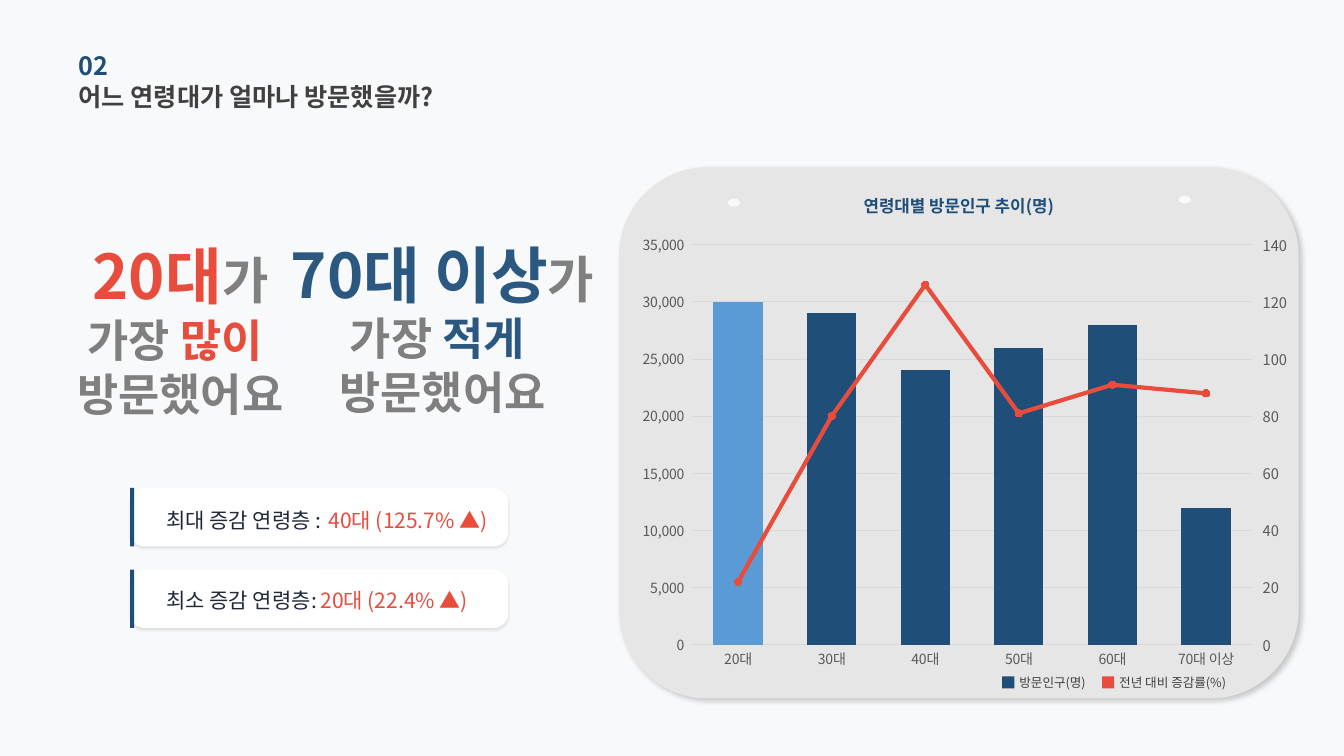
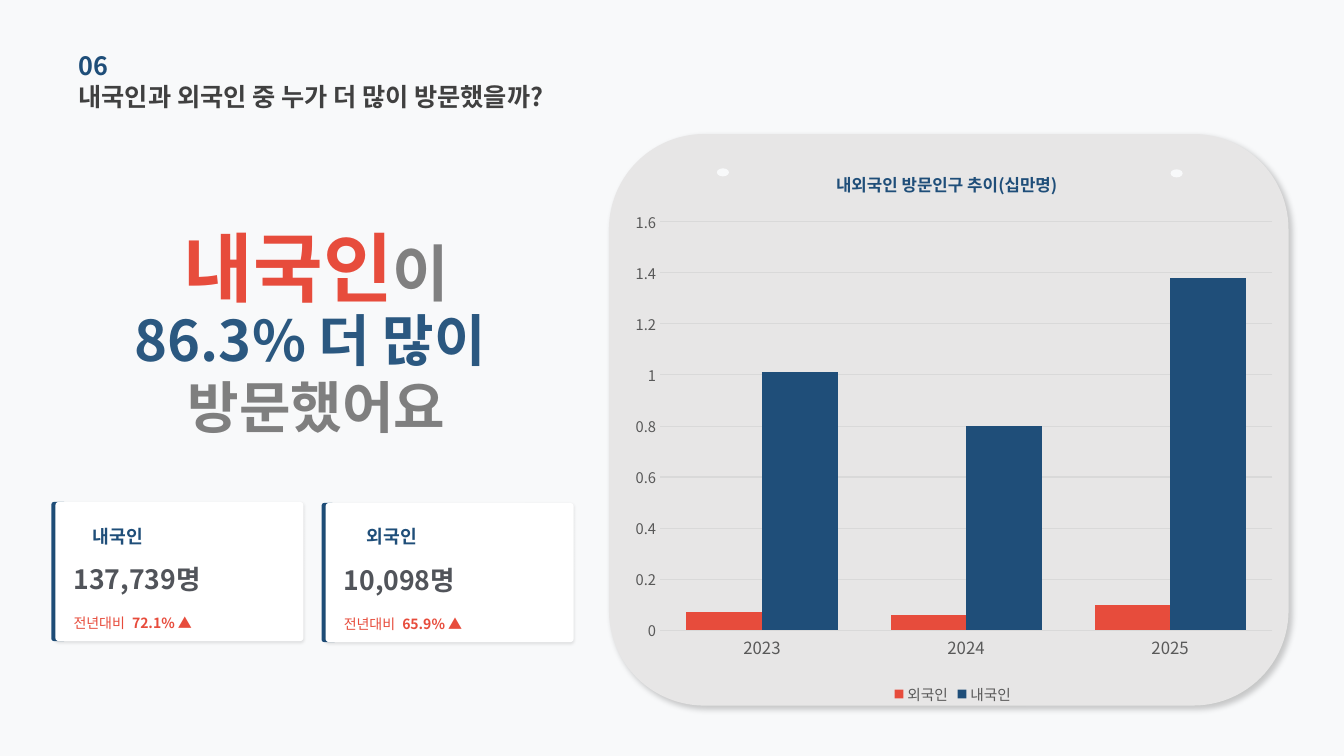
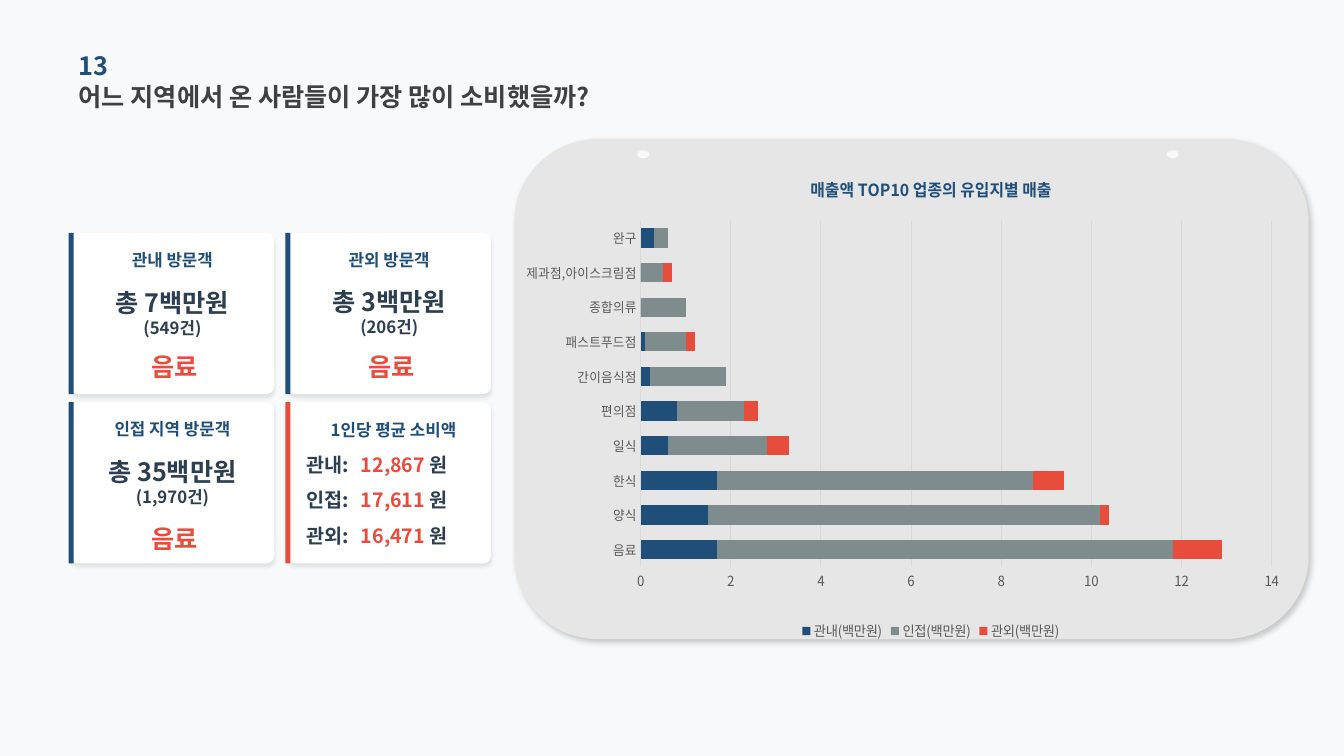
"""Builds three slides on visitor numbers and spending, each with a chart panel."""
from copy import deepcopy
from dataclasses import dataclass

from lxml import etree
from pptx import Presentation
from pptx.chart.data import CategoryChartData
from pptx.dml.color import RGBColor
from pptx.enum.chart import XL_CHART_TYPE, XL_LEGEND_POSITION, XL_MARKER_STYLE, XL_TICK_MARK
from pptx.enum.shapes import MSO_SHAPE
from pptx.enum.text import MSO_ANCHOR, PP_ALIGN
from pptx.oxml import parse_xml
from pptx.oxml.ns import nsdecls, qn
from pptx.util import Inches, Pt

RECTANGLE, ROUNDED, OVAL = MSO_SHAPE.RECTANGLE, MSO_SHAPE.ROUNDED_RECTANGLE, MSO_SHAPE.OVAL
LEFT, CENTER, MIDDLE = PP_ALIGN.LEFT, PP_ALIGN.CENTER, MSO_ANCHOR.MIDDLE
COLUMNS, STACKED_BARS = XL_CHART_TYPE.COLUMN_CLUSTERED, XL_CHART_TYPE.BAR_STACKED
NO_TICK, BOTTOM, CIRCLE = XL_TICK_MARK.NONE, XL_LEGEND_POSITION.BOTTOM, XL_MARKER_STYLE.CIRCLE


@dataclass(frozen=True)
class Theme:
    font: str = "Noto Sans CJK KR"
    page: str = "F8F9FA"
    panel: str = "E7E6E6"
    card: str = "FFFFFF"
    navy: str = "1F4E79"
    blue: str = "2B5880"
    sky: str = "5B9BD5"
    red: str = "E74C3C"
    teal: str = "7F8C8D"
    gray: str = "7F7F7F"
    particle: str = "808080"
    title: str = "404040"
    ink: str = "1F2937"
    slate: str = "2C3E50"
    figure: str = "51545A"
    axis: str = "595959"
    grid: str = "D9D9D9"
    title_size: float = 18
    chart_title_size: float = 12
    label_size: float = 10


THEME = Theme()
PANEL_SHADOW = (20, 4, 3, 45)
CARD_SHADOW = (10, 2, 1, 90)
TALL_CARD_SHADOW = (10, 3, 2, 90)

AGE = {
    "number": "02",
    "title": "어느 연령대가 얼마나 방문했을까?",
    "panel": (6.14, 1.66, 6.74, 5.27),
    "pins": [(7.22, 1.97), (11.69, 1.94)],
    "chart": {
        "kind": COLUMNS, "at": (6.26, 2.25, 6.63, 4.46), "plot": (0.09, 0.04, 0.84, 0.89),
        "categories": ["20대", "30대", "40대", "50대", "60대", "70대 이상"],
        "series": [
            ("방문인구(명)", [30000, 29000, 24000, 26000, 28000, 12000], THEME.navy),
            ("전년 대비 증감률(%)", [22, 80, 126, 81, 91, 88], THEME.red),
        ],
        "scale": (35000, 5000), "format": "#,##0_ ", "gap": 90, "overlap": -27,
    },
    "chart_title": "연령대별 방문인구 추이(명)",
}
AGE_HEADLINES = [
    (1.79, 2.49, 3.22, [("20대", THEME.red), ("가", THEME.particle)],
     [("가장 ", THEME.gray), ("많이 ", THEME.red)]),
    (4.39, 2.48, 3.2, [("70대 이상", THEME.blue), ("가", THEME.particle)],
     [("가장", THEME.gray), (" 적게 ", THEME.blue)]),
]
AGE_NOTES = [("최대 증감 연령층 :", "40대 (125.7% ▲)", 3.26, 5.04),
             ("최소 증감 연령층:", "20대 (22.4% ▲)", 3.18, 5.83)]
AGE_LEGEND = [(9.94, 0.8), (10.93, 1.18)]

ORIGIN = {
    "number": "06",
    "title": "내국인과 외국인 중 누가 더 많이 방문했을까?",
    "panel": (6.04, 1.33, 6.74, 5.67),
    "pins": [(7.11, 1.67), (11.61, 1.68)],
    "chart": {
        "kind": COLUMNS, "at": (6.15, 1.48, 6.6, 5.55), "plot": (0.06, 0.13, 0.92, 0.73),
        "title": ("내외국인 방문인구 추이(십만명)", 0.32, 0.03),
        "categories": ["2023", "2024", "2025"],
        "series": [("외국인", [0.07, 0.06, 0.1], THEME.red),
                   ("내국인", [1.01, 0.8, 1.38], THEME.navy)],
        "scale": (1.6, 0.2), "gap": 70, "overlap": 0,
        "category_size": 12, "value_size": 10.5, "legend_size": 10.5,
    },
}
ORIGIN_CARDS = [("내국인", "137,739명", "72.1% ▲", 0.92),
                ("외국인", "10,098명", "65.9% ▲", 3.64)]

SPENDING = {
    "number": "13",
    "title": "어느 지역에서 온 사람들이 가장 많이 소비했을까?",
    "panel": (5.1, 1.38, 7.88, 4.96),
    "pins": [(6.32, 1.49), (11.57, 1.49)],
    "chart": {
        "kind": STACKED_BARS, "at": (5.22, 1.56, 7.61, 4.84),
        "plot": (0.1, 0.13, 0.87, 0.71),
        "title": ("매출액 TOP10 업종의 유입지별 매출", 0.33, 0.03),
        "categories": ["음료", "양식", "한식", "일식", "편의점", "간이음식점", "패스트푸드점",
                       "종합의류", "제과점,아이스크림점", "완구"],
        "series": [
            ("관내(백만원)", [1.7, 1.5, 1.7, 0.6, 0.8, 0.2, 0.1, 0, 0, 0.3], THEME.navy),
            ("인접(백만원)", [10.1, 8.7, 7, 2.2, 1.5, 1.7, 0.9, 1, 0.5, 0.3], THEME.teal),
            ("관외(백만원)", [1.1, 0.2, 0.7, 0.5, 0.3, 0, 0.2, 0, 0.2, 0], THEME.red),
        ],
        "scale": (14, 2), "gap": 80, "overlap": 100,
        "category_size": 9.5, "legend_size": 10,
    },
}
SPENDING_CARDS = [("관내 방문객", "총 7백만원", "(549건)", "음료", 2.87, 3.4),
                  ("관외 방문객", "총 3백만원", "(206건)", "음료", 2.86, 3.4),
                  ("인접 지역 방문객", "총 35백만원", "(1,970건)", "음료", 4.54, 5.11)]
AVERAGE_TITLE = "1인당 평균 소비액"
AVERAGES = [("관내:", "12,867 "), ("인접:", "17,611 "), ("관외:", "16,471 ")]


def rgb(color):
    return RGBColor.from_string(color)


def style_font(font, size, color, bold=False):
    font.size, font.bold, font.name = Pt(size), bold, THEME.font
    font.color.rgb = rgb(color)
    latin = font._element.find(qn("a:latin"))
    latin.addnext(parse_xml(f'<a:ea {nsdecls("a")} typeface="{THEME.font}"/>'))


def add_text(slide, at, content, size=12, color=THEME.ink, bold=False, align=LEFT):
    """Content is a string or a list of paragraphs, each a list of (text, color, size)."""
    frame = slide.shapes.add_textbox(*map(Inches, at)).text_frame
    frame.word_wrap, frame.vertical_anchor = True, MIDDLE
    frame.margin_left = frame.margin_right = frame.margin_top = frame.margin_bottom = 0
    paragraphs = [[(content, color, size)]] if isinstance(content, str) else content
    for index, runs in enumerate(paragraphs):
        paragraph = frame.add_paragraph() if index else frame.paragraphs[0]
        paragraph.alignment = align
        for text, run_color, run_size in runs:
            run = paragraph.add_run()
            run.text = text
            style_font(run.font, run_size, run_color, bold)


def add_box(slide, kind, at, color, corner=None, shadow=None):
    shape = slide.shapes.add_shape(kind, *map(Inches, at))
    shape.fill.solid()
    shape.fill.fore_color.rgb = rgb(color)
    shape.line.fill.background()
    shape.shadow.inherit = False
    if corner is not None:
        shape.adjustments[0] = corner
    if shadow:
        alpha, blur, distance, angle = shadow
        effects = shape._element.spPr.find(qn("a:effectLst"))
        effects.append(parse_xml(
            f'<a:outerShdw {nsdecls("a")} blurRad="{Pt(blur)}" dist="{Pt(distance)}" '
            f'dir="{angle * 60000}" algn="ctr" rotWithShape="0"><a:srgbClr val="000000">'
            f'<a:alpha val="{alpha * 1000}"/></a:srgbClr></a:outerShdw>'))


def layout_xml(x, y, width=None, height=None):
    target = '<c:layoutTarget val="inner"/>' if width else ""
    size = f'<c:w val="{width}"/><c:h val="{height}"/>' if width else ""
    return parse_xml(
        f'<c:layout {nsdecls("c")}><c:manualLayout>{target}<c:xMode val="edge"/>'
        f'<c:yMode val="edge"/><c:x val="{x}"/><c:y val="{y}"/>{size}'
        f'</c:manualLayout></c:layout>')


def format_axes(chart, details):
    category, value = chart.category_axis, chart.value_axis
    for axis, key in ((category, "category_size"), (value, "value_size")):
        axis.major_tick_mark = axis.minor_tick_mark = NO_TICK
        style_font(axis.tick_labels.font, details.get(key, THEME.label_size), THEME.axis)
    category.has_major_gridlines = False
    value.has_major_gridlines = True
    for line in (category.format.line, value.major_gridlines.format.line):
        line.color.rgb, line.width = rgb(THEME.grid), Pt(0.75)
    value.format.line.fill.background()
    value.minimum_scale = 0
    value.maximum_scale, value.major_unit = details["scale"]
    value.tick_labels.number_format = details.get("format", "General")
    value.tick_labels.number_format_is_linked = False


def add_chart(slide, details):
    data = CategoryChartData()
    data.categories = details["categories"]
    for name, values, _ in details["series"]:
        data.add_series(name, values)
    chart = slide.shapes.add_chart(details["kind"], *map(Inches, details["at"]), data).chart
    style_font(chart.font, THEME.label_size, THEME.axis)
    format_axes(chart, details)
    plot = chart.plots[0]
    plot.gap_width, plot.overlap, plot.vary_by_categories = details["gap"], details["overlap"], False
    for series, (_, _, color) in zip(plot.series, details["series"]):
        series.format.fill.solid()
        series.format.fill.fore_color.rgb = rgb(color)
    plot_area = chart._chartSpace.chart.plotArea
    for layout in plot_area.findall(qn("c:layout")):
        plot_area.remove(layout)
    plot_area.insert(0, layout_xml(*details["plot"]))
    chart.has_title = "title" in details
    if chart.has_title:
        text, x, y = details["title"]
        title = chart.chart_title
        run = title.text_frame.paragraphs[0].add_run()
        run.text = text
        style_font(run.font, THEME.chart_title_size, THEME.navy, True)
        for layout in title._element.findall(qn("c:layout")):
            title._element.remove(layout)
        title._element.find(qn("c:tx")).addnext(layout_xml(x, y))
    chart.has_legend = "legend_size" in details
    if chart.has_legend:
        chart.legend.position, chart.legend.include_in_layout = BOTTOM, False
        style_font(chart.legend.font, details["legend_size"], THEME.axis)
    return chart


def move_to_line(chart, color, scale):
    """Turns the last column series into a line on a second axis."""
    plot_area = chart._chartSpace.chart.plotArea
    columns = plot_area.find(qn("c:barChart"))
    series = columns.findall(qn("c:ser"))[-1]
    for tag in ("c:invertIfNegative", "c:spPr"):
        for element in series.findall(qn(tag)):
            series.remove(element)
    line_chart = parse_xml(
        f'<c:lineChart {nsdecls("c")}><c:grouping val="standard"/><c:varyColors val="0"/>'
        f'<c:marker val="1"/><c:axId val="5001"/><c:axId val="5002"/></c:lineChart>')
    line_chart.insert(2, series)
    columns.addnext(line_chart)

    value_axis = plot_area.find(qn("c:valAx"))
    right_axis = deepcopy(value_axis)
    hidden_axis = deepcopy(plot_area.find(qn("c:catAx")))
    right_axis.remove(right_axis.find(qn("c:majorGridlines")))
    maximum, unit = scale
    right_axis.find(qn("c:scaling")).find(qn("c:max")).set("val", str(maximum))
    right_axis.find(qn("c:numFmt")).set("formatCode", "General")
    right_axis.find(".//" + qn("a:defRPr")).set("sz", "1050")
    for axis, changes in (
        (right_axis, {"axId": "5002", "crossAx": "5001", "axPos": "r", "crosses": "max",
                      "majorUnit": str(unit), "majorTickMark": "out"}),
        (hidden_axis, {"axId": "5001", "crossAx": "5002", "delete": "1"}),
    ):
        for tag, value in changes.items():
            axis.find(qn("c:" + tag)).set("val", value)
    value_axis.addnext(right_axis)
    right_axis.addnext(hidden_axis)
    etree.cleanup_namespaces(plot_area)

    line = chart.plots[1].series[0]
    line.smooth = False
    line.format.line.color.rgb, line.format.line.width = rgb(color), Pt(3)
    line.marker.style, line.marker.size = CIRCLE, 5
    line.marker.format.fill.solid()
    line.marker.format.fill.fore_color.rgb = rgb(color)
    line.marker.format.line.color.rgb = rgb(color)


def start_slide(presentation, content):
    slide = presentation.slides.add_slide(presentation.slide_layouts[6])
    for text, top, color in ((content["title"], 0.75, THEME.title),
                             (content["number"], 0.44, THEME.navy)):
        add_text(slide, (0.78, top, 5.5, 0.41), text, size=THEME.title_size, color=color, bold=True)
    add_box(slide, ROUNDED, content["panel"], THEME.panel, shadow=PANEL_SHADOW)
    for left, top in content["pins"]:
        add_box(slide, OVAL, (left, top, 0.12, 0.08), THEME.page)
    return slide, add_chart(slide, content["chart"])


def add_headline(slide, center, width, tops, first, second, sizes):
    """Sets a large first line over two smaller lines around one centre."""
    large, particle, small = sizes
    left = center - width / 2
    (word, word_color), (ending, ending_color) = first
    add_text(slide, (left, tops[0], width, 0.48),
             [[(word, word_color, large), (ending, ending_color, particle)]],
             bold=True, align=CENTER)
    add_text(slide, (left, tops[1], width, 0.84),
             [[(text, color, small) for text, color in second],
              [("방문했어요", THEME.gray, small)]], bold=True, align=CENTER)


def build_age(presentation):
    slide, chart = start_slide(presentation, AGE)
    first_point = chart.plots[0].series[0].points[0].format.fill
    first_point.solid()
    first_point.fore_color.rgb = rgb(THEME.sky)
    move_to_line(chart, THEME.red, (140, 20))
    add_text(slide, (8.03, 1.89, 2.96, 0.3), AGE["chart_title"], size=THEME.chart_title_size,
             color=THEME.navy, bold=True, align=CENTER)
    for (left, width), (name, _, color) in zip(AGE_LEGEND, AGE["chart"]["series"]):
        add_box(slide, RECTANGLE, (left, 6.71, 0.12, 0.12), color)
        add_text(slide, (left + 0.17, 6.68, width, 0.18), name, size=9, color=THEME.title)
    for center, top, lower_top, first, second in AGE_HEADLINES:
        add_headline(slide, center, 3.5, (top, lower_top), first, second, (44, 36, 32))
    for index, (label, value, value_left, text_top) in enumerate(AGE_NOTES):
        top = 4.84 + 0.81 * index
        add_box(slide, ROUNDED, (1.29, top, 3.75, 0.58), THEME.card, 0.245, CARD_SHADOW)
        add_box(slide, RECTANGLE, (1.29, top, 0.04, 0.58), THEME.navy)
        add_text(slide, (1.65, text_top, 1.93, 0.24), label, size=15)
        add_text(slide, (value_left, text_top, 1.91, 0.24), value, size=15, color=THEME.red)


def build_origin(presentation):
    slide, _ = start_slide(presentation, ORIGIN)
    add_headline(slide, 3.14, 5, (2.4, 3.28), [("내국인", THEME.red), ("이", THEME.particle)],
                 [("86.3% 더 많이 ", THEME.blue)], (54, 44, 40))
    for index, (name, count, change, name_left) in enumerate(ORIGIN_CARDS):
        left, top = 0.55 + 2.68 * index, 4.98 + 0.01 * index
        add_box(slide, ROUNDED, (left - 0.04, top, 0.15, 1.38), THEME.navy)
        add_box(slide, ROUNDED, (left, top, 2.46, 1.38), THEME.card, 0.023, CARD_SHADOW)
        add_text(slide, (name_left, 5.18, 0.8, 0.28), name, size=13, color=THEME.navy, bold=True)
        text_left = left + 0.18
        add_text(slide, (text_left, top + 0.57, 2.2, 0.39), count, size=19,
                 color=THEME.figure, bold=True)
        add_text(slide, (text_left, top + 0.97, 0.7, 0.45), "전년대비", size=10, color=THEME.red)
        add_text(slide, (text_left + 0.58, top + 0.97, 1.2, 0.45), change, size=10,
                 color=THEME.red, bold=True)


def build_spending(presentation):
    slide, _ = start_slide(presentation, SPENDING)
    width, height = 2.02, 1.6
    places = [(0.7 + 2.15 * (index % 2), 2.31 + 1.68 * (index // 2)) for index in range(4)]
    accents = [THEME.navy] * 3 + [THEME.red]
    for (left, top), accent in zip(places, accents):
        add_box(slide, ROUNDED, (left, top, width, height), THEME.card, 0.048, TALL_CARD_SHADOW)
        add_box(slide, RECTANGLE, (left - 0.02, top, 0.05, height), accent)
    for (left, top), (name, amount, count, item, amount_top, item_top) in zip(places, SPENDING_CARDS):
        add_text(slide, (left, top + 0.11, width, 0.31), name, color=THEME.navy,
                 bold=True, align=CENTER)
        add_text(slide, (left, amount_top, width, 0.47),
                 [[(amount, THEME.slate, 18)], [(count, THEME.slate, 12)]],
                 bold=True, align=CENTER)
        add_text(slide, (left + 0.02, item_top, width, 0.47), item, size=18,
                 color=THEME.red, bold=True, align=CENTER)
    left, top = places[3]
    add_text(slide, (left + 0.43, top + 0.15, 1.5, 0.25), AVERAGE_TITLE, color=THEME.navy, bold=True)
    for index, (name, amount) in enumerate(AVERAGES):
        row_top = top + 0.47 + 0.35 * index
        add_text(slide, (left + 0.19, row_top, 0.59, 0.3), name, size=14,
                 color=THEME.slate, bold=True)
        add_text(slide, (left + 0.73, row_top, 1.2, 0.3),
                 [[(amount, THEME.red, 14), ("원", THEME.slate, 14)]], bold=True)


def main():
    presentation = Presentation()
    presentation.slide_width, presentation.slide_height = Inches(13.33), Inches(7.5)
    background = presentation.slide_master.background.fill
    background.solid()
    background.fore_color.rgb = rgb(THEME.page)
    for build in (build_age, build_origin, build_spending):
        build(presentation)
    presentation.save("out.pptx")


if __name__ == "__main__":
    main()
